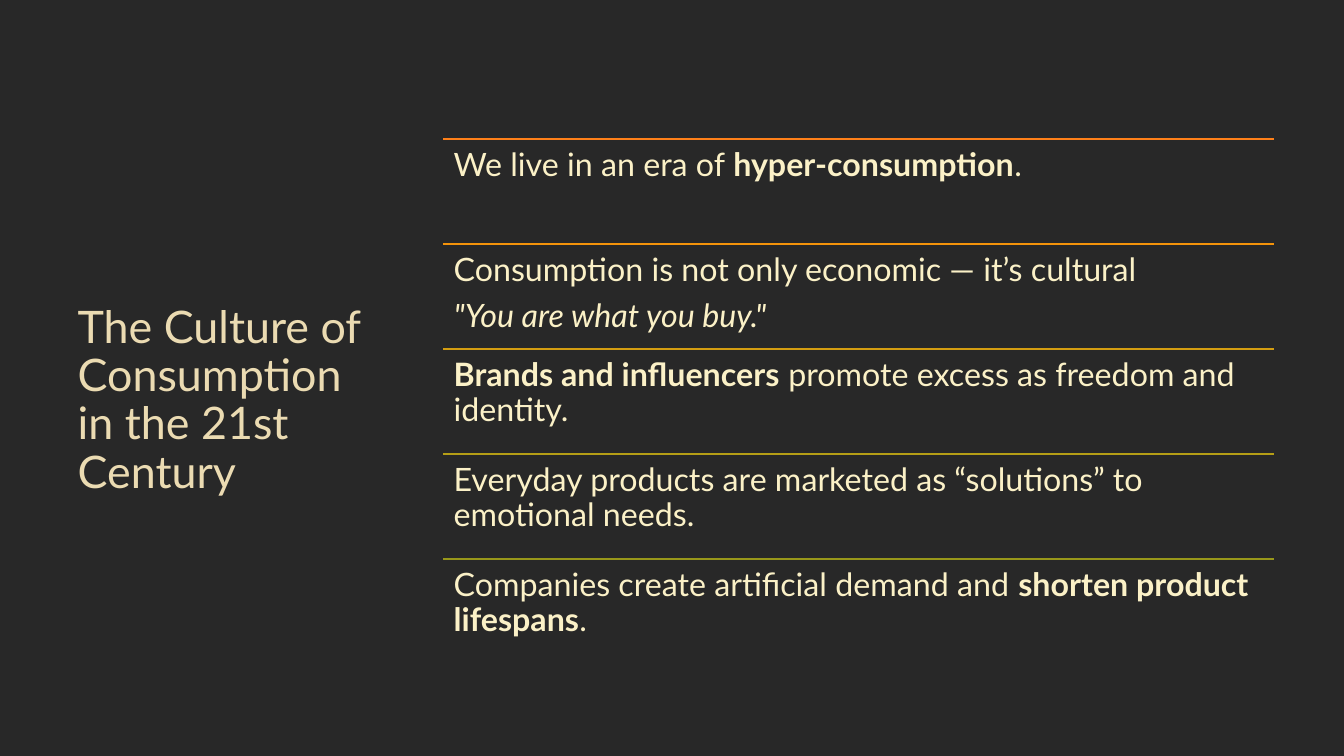
from pptx import Presentation
from pptx import util as u
from pptx.dml.color import RGBColor
from pptx.enum import shapes, text
from pptx.oxml.ns import qn
from lxml import etree

PX = 9525
TITLE = dict(size=u.Pt(32), name="Lato", color="EBDBB2")
BODY = dict(size=u.Pt(23), name="Lato", color="FBF1C7")
BOLD = dict(BODY, bold=True)
ITALIC = dict(BODY, italic=True)

LEFT, TOP, WIDTH, ROW = 422, 132, 791, 100
POINTS = [
    ("FE8019", [[("We live in an era of ", BODY), ("hyper-consumption", BOLD), (".", BODY)]]),
    ("F4930A", [[("Consumption is not only economic — it’s cultural", BODY)],
                [('"You are what you buy."', ITALIC)]]),
    ("D39D11", [[("Brands and influencers", BOLD),
                 (" promote excess as freedom and identity.", BODY)]]),
    ("B59E16", [[("Everyday products are marketed as “solutions” to emotional needs.", BODY)]]),
    ("98971A", [[("Companies create artificial demand and ", BODY),
                 ("shorten product lifespans", BOLD), (".", BODY)]]),
]


def rgb(value):
    return RGBColor.from_string(value)


class Deck:
    def __init__(self, width, height):
        self.prs = Presentation()
        self.prs.slide_width = width * PX
        self.prs.slide_height = height * PX

    def slide(self, color):
        self.s = self.prs.slides.add_slide(self.prs.slide_layouts[6])
        fill = self.s.background.fill
        fill.solid()
        fill.fore_color.rgb = rgb(color)

    def rule(self, x, y, width, color):
        line = self.s.shapes.add_connector(
            shapes.MSO_CONNECTOR.STRAIGHT, x * PX, y * PX, (x + width) * PX, y * PX)
        line.line.color.rgb = rgb(color)
        line.line.width = u.Pt(1.5)
        etree.SubElement(line._element.spPr, qn("a:effectLst"))

    def text(self, x, y, width, height, paragraphs, after=0, inset=10,
             anchor=text.MSO_ANCHOR.TOP):
        sp = self.s.shapes.add_textbox(x * PX, y * PX, width * PX, height * PX)
        tf = sp.text_frame
        frame = dict(word_wrap=True, vertical_anchor=anchor, margin_left=10 * PX,
                     margin_right=10 * PX, margin_top=inset * PX, margin_bottom=inset * PX)
        for key, value in frame.items():
            setattr(tf, key, value)
        for i, runs in enumerate(paragraphs):
            p = tf.add_paragraph() if i else tf.paragraphs[0]
            p.line_spacing = 0.9
            p.space_after = u.Pt(after)
            for words, style in runs:
                r = p.add_run()
                r.text = words
                for key, value in style.items():
                    if key == "color":
                        r.font.color.rgb = rgb(value)
                    else:
                        setattr(r.font, key, value)


def main():
    deck = Deck(1280, 720)
    deck.slide("282828")
    deck.text(64, TOP, 305, 5 * ROW,
              [[("The Culture of Consumption in the 21st Century", TITLE)]],
              inset=5, anchor=text.MSO_ANCHOR.MIDDLE)
    for i, (color, paragraphs) in enumerate(POINTS):
        y = TOP + i * ROW
        deck.rule(LEFT, y, WIDTH, color)
        deck.text(LEFT, y, WIDTH, ROW, paragraphs, after=8)
    deck.prs.save("out.pptx")


if __name__ == "__main__":
    main()
